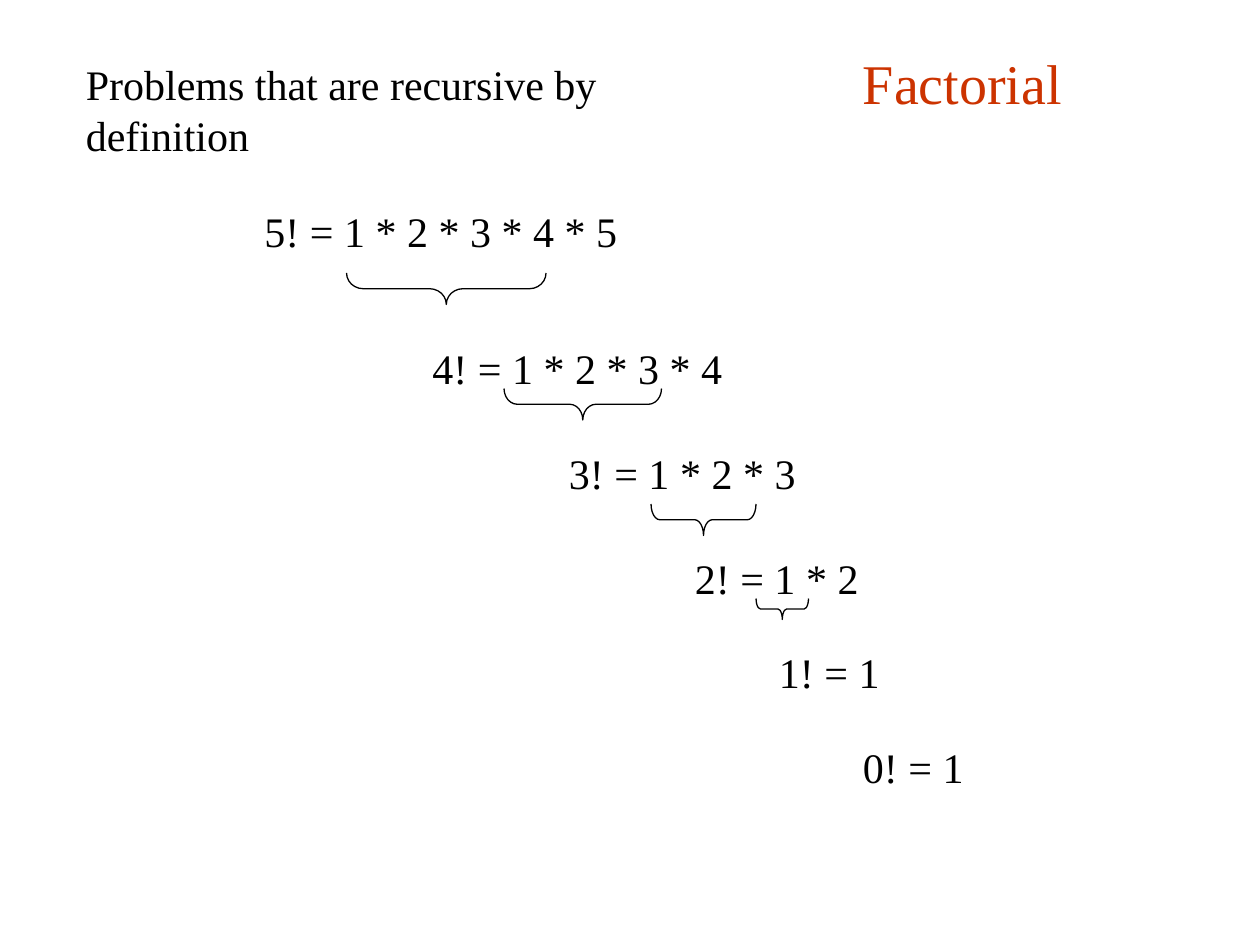
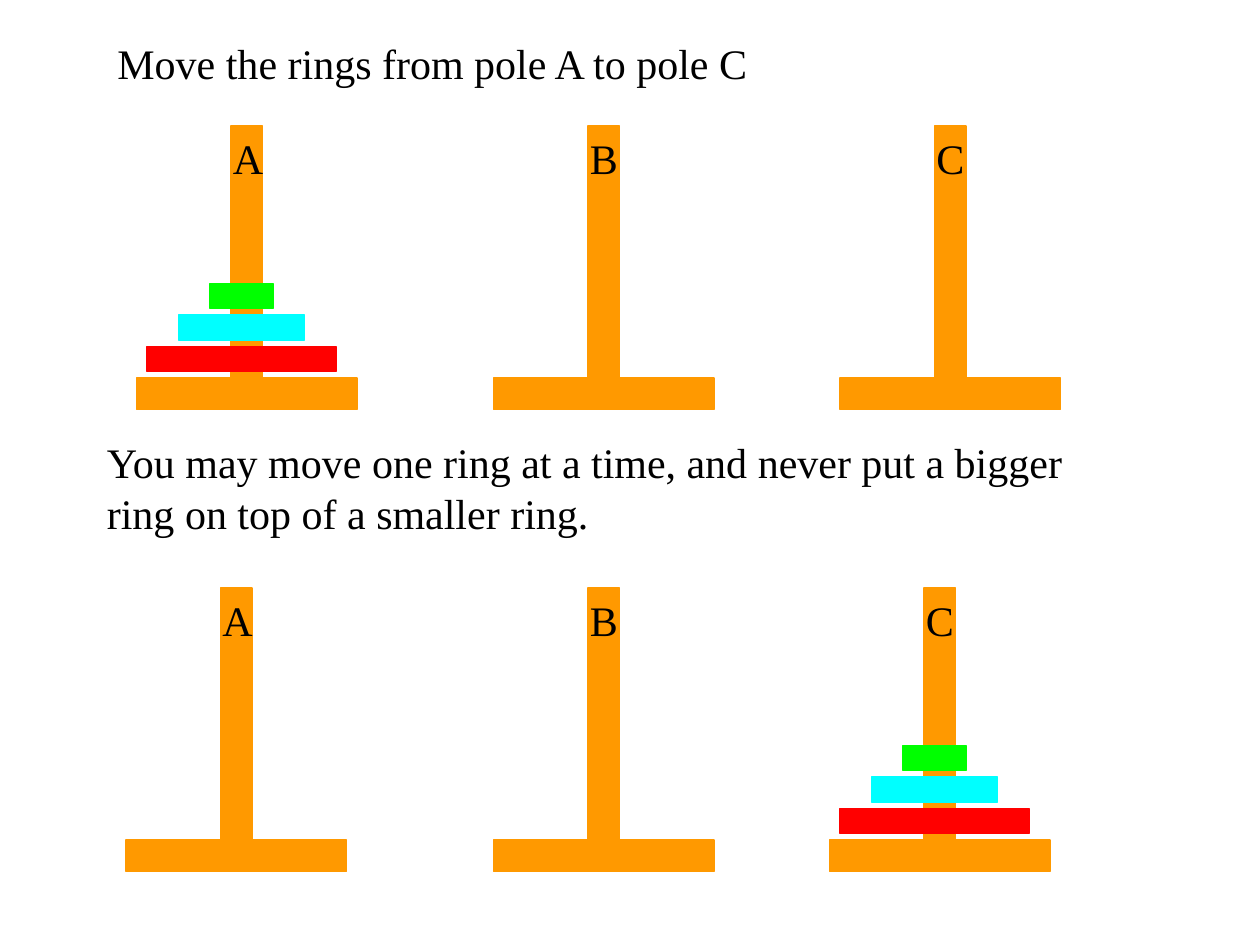
from pptx import Presentation
from pptx.dml.color import RGBColor
from pptx.enum.shapes import MSO_SHAPE as SHAPE
from pptx.enum.text import MSO_AUTO_SIZE as AUTO
from pptx.util import Inches, Pt

BLACK = RGBColor(0x00, 0x00, 0x00)
RUST = RGBColor(0xCC, 0x33, 0x00)
ORANGE = RGBColor(0xFF, 0x99, 0x00)
RING_COLORS = (
    RGBColor(0xFF, 0x00, 0x00),
    RGBColor(0x00, 0xFF, 0xFF),
    RGBColor(0x00, 0xFF, 0x00),
)
FONT = "Times New Roman"
LINE = Pt(0.75)

# The slide is a grid of 120 columns by 90 rows, twelve to the inch
COLS, ROWS = 120, 90
UNIT = Inches(1) / 12


def box(*cells):
    """Turn grid cells into slide lengths."""
    return [round(c * UNIT) for c in cells]


def add_text(s, text, x, y, w, h=6, size=24, color=BLACK, wrap=True):
    tf = s.shapes.add_textbox(*box(x, y, w, h)).text_frame
    tf.word_wrap = wrap
    tf.auto_size = AUTO.SHAPE_TO_FIT_TEXT
    r = tf.paragraphs[0].add_run()
    r.text = text
    r.font.name, r.font.size = FONT, Pt(size)
    r.font.color.rgb = color


def add_bar(shapes, color, x, y, w, h):
    sp = shapes.add_shape(SHAPE.RECTANGLE, *box(x, y, w, h))
    sp.shadow.inherit = False
    sp.fill.solid()
    sp.fill.fore_color.rgb = color
    sp.line.color.rgb = color
    sp.line.width = LINE


def add_brace(s, x, y, span, depth):
    """Brace lying under a product; x, y is its visible top left corner."""
    left, top = x + (span - depth) / 2, y - (span - depth) / 2
    sp = s.shapes.add_shape(SHAPE.RIGHT_BRACE, *box(left, top, depth, span))
    sp.rotation = 90
    sp.adjustments[0] = span / (12 * depth)
    sp.shadow.inherit = False
    sp.fill.background()
    sp.line.color.rgb = BLACK
    sp.line.width = LINE


def add_tower(s, label, x, base_y, has_rings):
    """Pole on a base, with its letter and perhaps the pile of rings."""
    shapes = s.shapes.add_group_shape().shapes
    add_bar(shapes, ORANGE, x, base_y, 21, 3)
    add_bar(shapes, ORANGE, x + 9, base_y - 24, 3, 24)
    if has_rings:
        for i, color in enumerate(RING_COLORS):
            add_bar(shapes, color, x + 1 + 3 * i, base_y - 3 * (i + 1),
                    18 - 6 * i, 2.4)
    add_text(s, label, x + 8, base_y - 24, 6)


def factorial_slide(s):
    add_text(s, "Problems that are recursive by definition", 7, 5, 66)
    add_text(s, "Factorial", 81, 4, 28, 7.5, size=32, color=RUST)

    # Each factorial contains the next smaller one
    for text, x, y, w in (
        ("5! = 1 * 2 * 3 * 4 * 5", 24, 19, 36),
        ("4! = 1 * 2 * 3 * 4", 40, 32, 30),
        ("3! = 1 * 2 * 3", 53, 42, 24),
        ("2! = 1 * 2", 65, 52, 18),
        ("1! = 1", 73, 61, 12),
        ("0! = 1", 81, 70, 12),
    ):
        add_text(s, text, x, y, w, wrap=False)
    for brace in ((33, 26, 19, 3), (48, 37, 15, 3),
                  (62, 48, 10, 3), (72, 57, 5, 2)):
        add_brace(s, *brace)


def towers_slide(s):
    add_text(s, "Move the rings from pole A to pole C", 10, 3, 63, wrap=False)
    add_text(s, "You may move one ring at a time, and never put a bigger "
                "ring on top of a smaller ring.", 9, 41, 99.25, 10.8)

    # Start and goal: base row, base columns, pole that holds the rings
    for base_y, columns, holder in ((36, (13, 47, 80), "A"),
                                    (80, (12, 47, 79), "C")):
        for label, x in zip("ABC", columns):
            add_tower(s, label, x, base_y, label == holder)


def main():
    prs = Presentation()
    prs.slide_width, prs.slide_height = box(COLS, ROWS)
    blank = prs.slide_layouts[6]
    for build in (factorial_slide, towers_slide):
        build(prs.slides.add_slide(blank))
    prs.save("out.pptx")


main()
